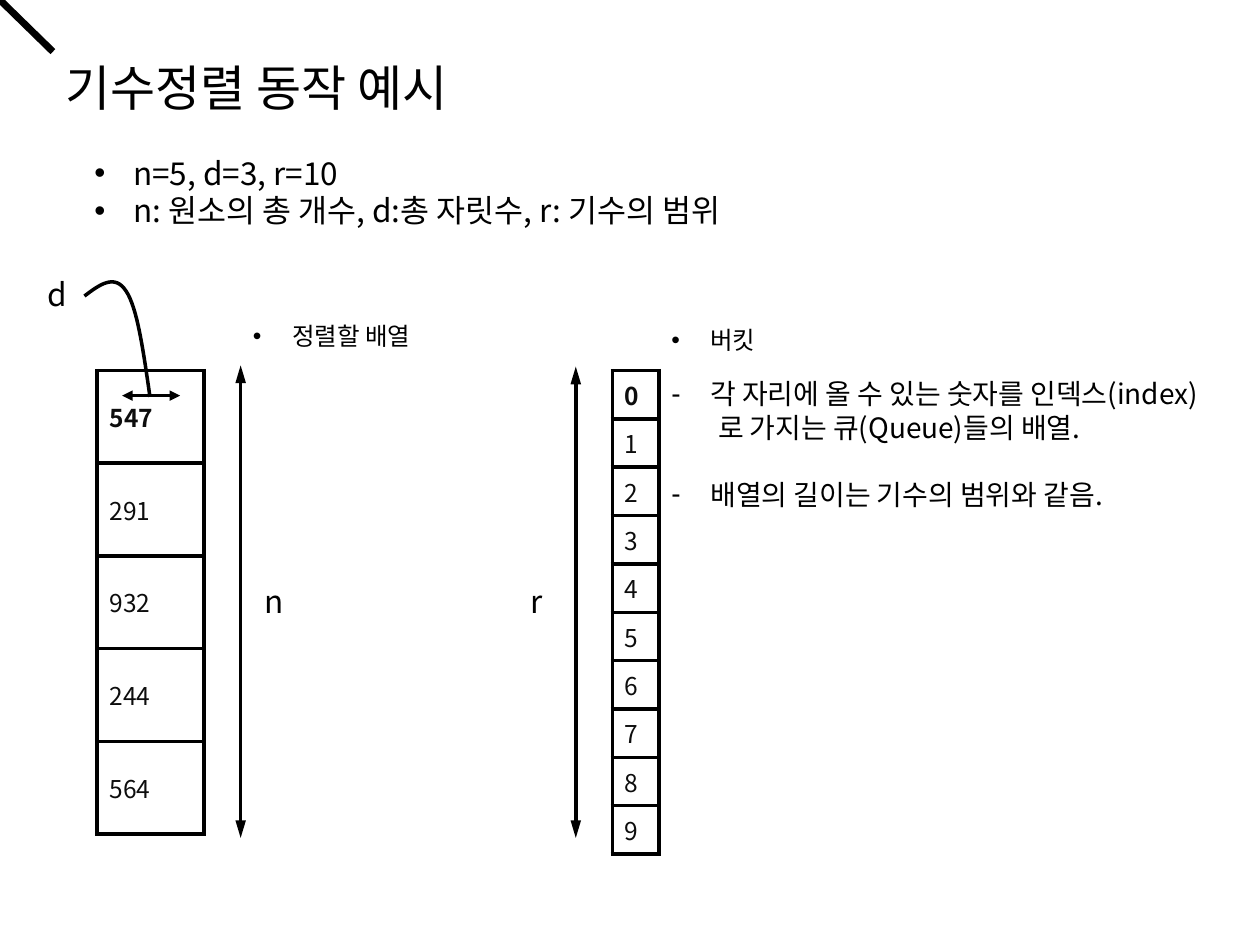
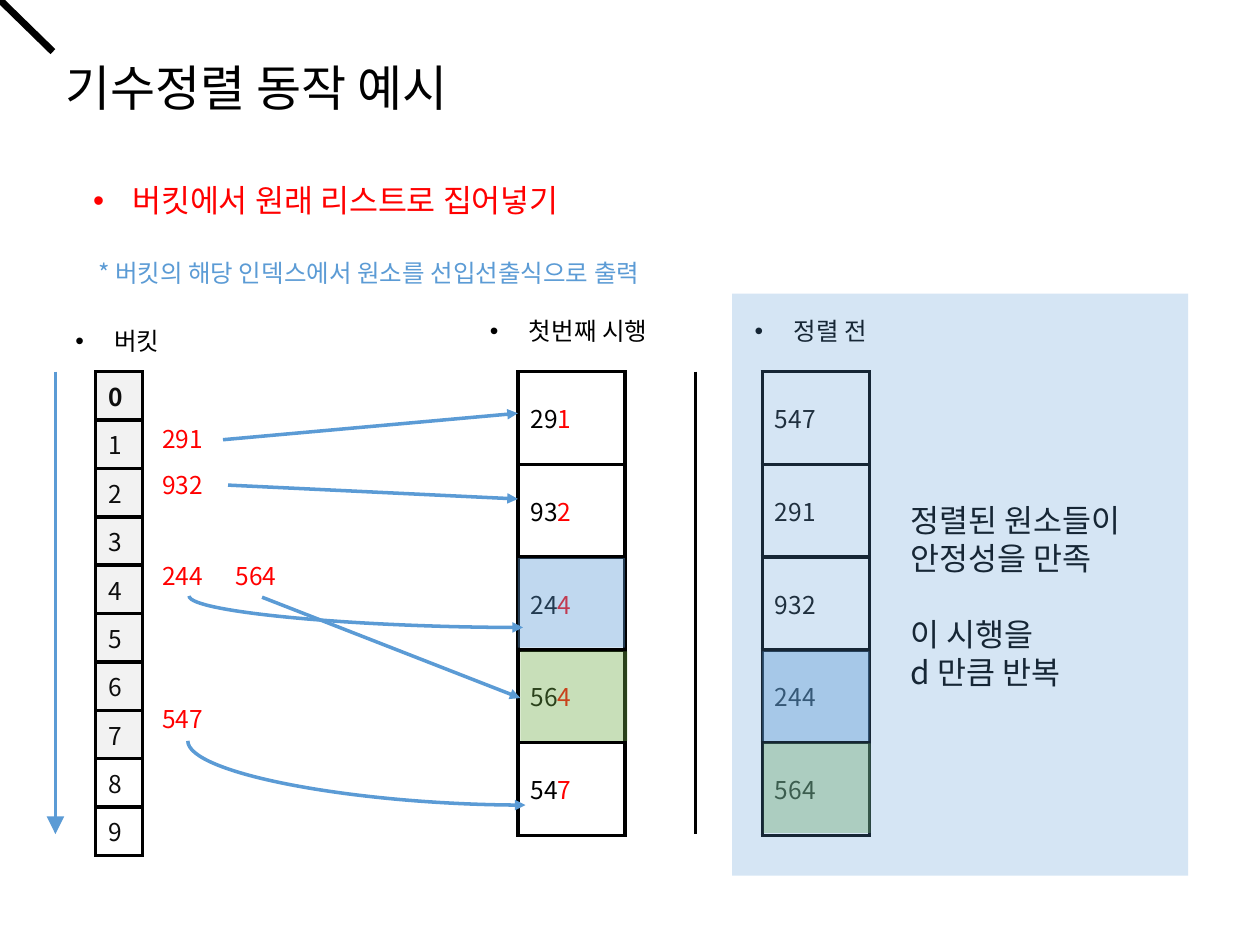
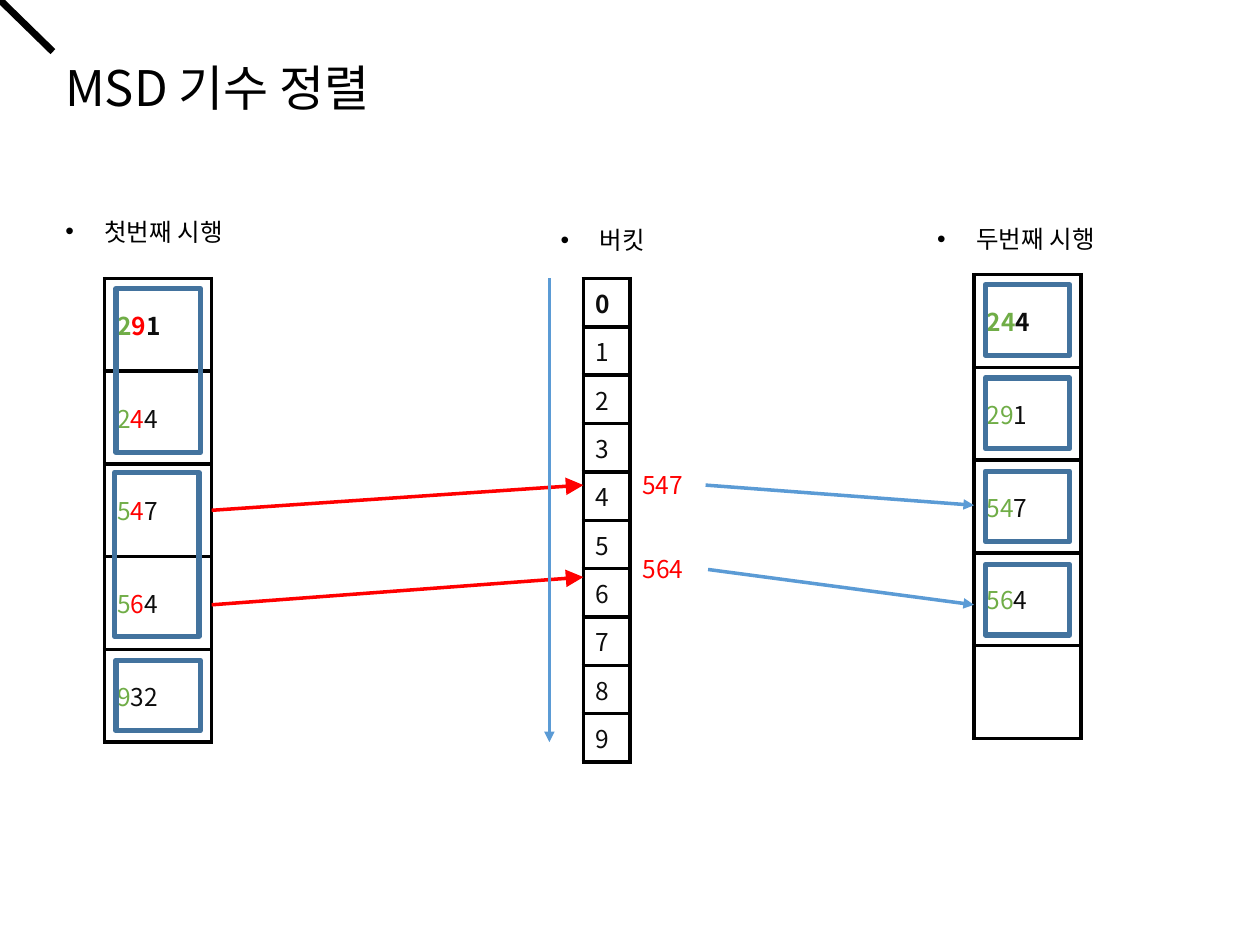
from lxml.etree import SubElement
from pptx import Presentation
from pptx.dml.color import RGBColor
from pptx.enum.shapes import MSO_CONNECTOR as Connector, MSO_SHAPE as Shape
from pptx.enum.text import MSO_ANCHOR as Anchor, MSO_AUTO_SIZE as AutoSize
from pptx.oxml.ns import qn
from pptx.util import Inches, Pt

# Shared style; the slide is a grid of 100 columns by 75 rows
GRID = Inches(0.1)
COLUMNS, ROWS = 100, 75
FONT = "Noto Sans CJK KR"
COLORS = {"black": "000000", "ink": "0D0D0D", "white": "FFFFFF", "visited": "F2F2F2",
          "red": "FF0000", "blue": "5B9BD5", "green": "70AD47", "group": "43739E"}
RGB = {name: RGBColor.from_string(value) for name, value in COLORS.items()}
INDENT = Inches(0.31)
LIST_HEIGHT = 36.8
LIST_WIDTH, BUCKET_WIDTH = 8.5, 3.7


def write(frame, text, size=14, colors=("black",), bold=False, bullet=None, indent=0, gap=0):
    """Add one paragraph; "|" in the text moves on to the next colour."""
    paragraph = frame.add_paragraph() if frame.text else frame.paragraphs[0]
    paragraph.space_before = Pt(gap)
    properties = paragraph._p.get_or_add_pPr()
    properties.set("marL", str(INDENT if bullet else int(indent * GRID)))
    if bullet:
        properties.set("indent", str(-INDENT))
        SubElement(properties, qn("a:buFont"), typeface="Arial")
        SubElement(properties, qn("a:buChar"), char=bullet)
    for part, color in zip(text.split("|"), colors):
        if part:
            run = paragraph.add_run()
            run.text = part
            run.font.size, run.font.bold, run.font.name = Pt(size), bold, FONT
            run.font.color.rgb = RGB[color]
            SubElement(run._r.get_or_add_rPr(), qn("a:ea"), typeface=FONT)


def draw_line(slide, start, end, color="black", width=2, heads=(), size=("med", "med"), curved=False):
    """Draw a line; a curved one leaves downwards and arrives from the left."""
    (x1, y1), (x2, y2) = start, end
    if curved:  # the box of a quarter-turned connector, before its turn
        center_x, center_y = (x1 + x2) / 2, (y1 + y2) / 2
        half_w, half_h = (y2 - y1) / 2, (x2 - x1) / 2
        x1, y1 = center_x + half_w, center_y - half_h
        x2, y2 = center_x - half_w, center_y + half_h
    line = slide.shapes.add_connector(Connector.CURVE if curved else Connector.STRAIGHT,
                                      *(int(v * GRID) for v in (x1, y1, x2, y2)))
    line.line.color.rgb, line.line.width = RGB[color], Pt(width)
    properties = line._element.spPr
    if curved:
        properties.find(qn("a:xfrm")).set("rot", str(270 * 60000))
        properties.find(qn("a:prstGeom")).set("prst", "curvedConnector2")
    for head in heads:
        SubElement(line.line._get_or_add_ln(), qn("a:" + head), type="triangle", w=size[0], len=size[1])
    SubElement(properties, qn("a:effectLst"))


deck = Presentation()
deck.slide_width, deck.slide_height = COLUMNS * GRID, ROWS * GRID
setup, collect, msd = [deck.slides.add_slide(deck.slide_layouts[6]) for _ in range(3)]

# Corner stroke
for slide in (setup, collect, msd):
    draw_line(slide, (0, 0), (4.2, 4.1), width=4)

# Lists and buckets: slide, left, top, width, values, digit colours, bold first row, shaded rows
digits = [str(digit) for digit in range(10)]
unsorted = ["547", "291", "932", "244", "564"]
columns = [
    (setup, 7.7, 29.4, LIST_WIDTH, unsorted, ["ink"], True, 0),
    (setup, 48.6, 29.4, BUCKET_WIDTH, digits, ["ink"], True, 0),
    (collect, 41.1, 29.5, LIST_WIDTH, ["29|1", "93|2", "24|4", "56|4", "54|7"], ["black", "red"], False, 0),
    (collect, 7.6, 29.5, BUCKET_WIDTH, digits, ["ink"], True, 8),
    (collect, 60.5, 29.5, LIST_WIDTH, unsorted, ["ink"], False, 0),
    (msd, 8.3, 22.1, LIST_WIDTH, ["2|9|1", "2|4|4", "5|4|7", "5|6|4", "9||32"],
     ["green", "red", "ink"], True, 0),
    (msd, 46.3, 22.1, BUCKET_WIDTH, digits, ["ink"], True, 0),
    (msd, 77.3, 21.8, LIST_WIDTH, ["24|4", "29|1", "54|7", "56|4", ""], ["green", "ink"], True, 0),
]
for slide, left, top, width, values, colors, bold_first, shaded in columns:
    box = [int(v * GRID) for v in (left, top, width, LIST_HEIGHT)]
    table = slide.shapes.add_table(len(values), 1, *box).table
    table.first_row = table.horz_banding = False
    for row, value in enumerate(values):
        cell = table.cell(row, 0)
        cell.vertical_anchor = Anchor.MIDDLE
        write(cell.text_frame, value, colors=colors, bold=bold_first and row == 0)
        borders = cell._tc.get_or_add_tcPr()
        for side in ("lnL", "lnR", "lnT", "lnB"):
            border = SubElement(borders, qn("a:" + side), w=str(Pt(2.25)))
            SubElement(SubElement(border, qn("a:solidFill")), qn("a:srgbClr"), val=COLORS["black"])
        cell.fill.solid()
        cell.fill.fore_color.rgb = RGB["visited" if row < shaded else "white"]

# Titles, headings and notes: slide, box, paragraphs, format
title, note, heading = {"size": 28}, {"size": 18}, {"bullet": "•"}
taken, remark = {"colors": ["red"]}, {"colors": ["blue"]}
labels = [
    (setup, (4.2, 4.1, 33.7, 5.7), ["기수정렬 동작 예시"], title),
    (setup, (6.5, 11.7, 88.1, 7.1),
     ["n=5, d=3, r=10", "n: 원소의 총 개수, d:총 자릿수, r: 기수의 범위"], note | heading),
    (setup, (2.8, 21.3, 3.7, 4), ["d"], note),
    (setup, (20, 45.7, 3.6, 4), ["n"], note),
    (setup, (41.1, 45.7, 3.1, 4), ["r"], note),
    (setup, (19.1, 25, 15, 3.4), ["정렬할 배열"], heading),
    (setup, (52.3, 25.3, 8.9, 3.4), ["버킷"], heading),
    (collect, (4.2, 4.1, 33.7, 5.7), ["기수정렬 동작 예시"], title),
    (collect, (6.4, 13.9, 39, 4), ["버킷에서 원래 리스트로 집어넣기"], note | heading | taken),
    (collect, (6.8, 20, 46.5, 3.4), ["* 버킷의 해당 인덱스에서 원소를 선입선출식으로 출력"], remark),
    (collect, (37.9, 24.6, 15.4, 3.4), ["첫번째 시행"], heading),
    (collect, (5, 25.4, 8.9, 3.4), ["버킷"], heading),
    (collect, (58.9, 24.6, 11.2, 3.4), ["정렬 전"], heading),
    (collect, (11.9, 33.2, 5.8, 3.4), ["291"], taken),
    (collect, (11.9, 36.8, 6.2, 3.4), ["932"], taken),
    (collect, (11.9, 44, 6.2, 3.4), ["244"], taken),
    (collect, (17.7, 44, 6.2, 3.4), ["564"], taken),
    (collect, (11.9, 55.4, 6, 3.4), ["547"], taken),
    (collect, (71.3, 39.3, 20.1, 7.1), ["정렬된 원소들이", "안정성을 만족"], note),
    (collect, (71.3, 48.3, 14.5, 7.1), ["이 시행을", "d 만큼 반복"], note),
    (msd, (4.2, 4.1, 28.4, 5.7), ["MSD 기수 정렬"], title),
    (msd, (4.2, 16.7, 15.4, 3.4), ["첫번째 시행"], heading),
    (msd, (43.5, 17.4, 8.9, 3.4), ["버킷"], heading),
    (msd, (73.4, 17.3, 15, 3.4), ["두번째 시행"], heading),
    (msd, (50, 36.8, 6, 3.4), ["547"], taken),
    (msd, (50, 43.5, 6.2, 3.4), ["564"], taken),
    (setup, (52.3, 29.4, 46.2, 11.8), [], {}),
]
frames = []
for slide, box, paragraphs, style in labels:
    frame = slide.shapes.add_textbox(*(int(v * GRID) for v in box)).text_frame
    frame.word_wrap, frame.auto_size = True, AutoSize.SHAPE_TO_FIT_TEXT
    for text in paragraphs:
        write(frame, text, **style)
    frames.append(frame)

# Description of the buckets, in the last box
bucket_note = frames[-1]
write(bucket_note, "각 자리에 올 수 있는 숫자를 인덱스(index)", size=16, bullet="-")
write(bucket_note, "로 가지는 큐(Queue)들의 배열.", size=16, indent=3.7)
write(bucket_note, "배열의 길이는 기수의 범위와 같음.", size=16, bullet="-", gap=19)

# Translucent marks on equal digits, and the panel: box, colour, opacity in percent
marks = [
    ((60.5, 51.7, 8.5, 7.1), "blue", 38),
    ((60.6, 59, 8.5, 7.1), "green", 38),
    ((41.1, 44.3, 8.5, 7.1), "blue", 38),
    ((41.3, 51.7, 8.5, 7.1), "green", 38),
    ((58.1, 23.3, 36.2, 46.2), "blue", 25),
]
for box, color, opacity in marks:
    mark = collect.shapes.add_shape(Shape.RECTANGLE, *(int(v * GRID) for v in box))
    mark.shadow.inherit = False
    mark.line.fill.background()
    mark.fill.solid()
    mark.fill.fore_color.rgb = RGB[color]
    tint = mark._element.spPr.find(qn("a:solidFill")).find(qn("a:srgbClr"))
    SubElement(tint, qn("a:alpha"), val=str(opacity * 1000))

# Outlines of the groups that share leading digits
groups = [(9.2, 22.9, 6.7, 13), (9.1, 37.5, 6.7, 13), (9.2, 52.4, 6.7, 5.6)]
groups += [(78.2, 22.6 + 7.4 * row, 6.7, 5.6) for row in range(4)]
for box in groups:
    group = msd.shapes.add_shape(Shape.RECTANGLE, *(int(v * GRID) for v in box))
    group.shadow.inherit = False
    group.fill.background()
    group.line.color.rgb, group.line.width = RGB["group"], Pt(3)

# Dimension arrows for n, r and d
both = ("headEnd", "tailEnd")
draw_line(setup, (19.1, 29), (19.1, 66.5), heads=both, size=("med", "lg"))
draw_line(setup, (45.7, 29.1), (45.7, 66.5), heads=both, size=("med", "lg"))
draw_line(setup, (9.7, 31.4), (14.3, 31.4), heads=both)

# Curved pointer from d to its arrow, sampled from two Bezier pieces
pieces = [((6.7, 23.5), (7.9, 22.6), (9.1, 21.7), (10, 23.1)),
          ((10, 23.1), (10.9, 24.4), (11.4, 28), (11.9, 31.5))]
STEPS = 16
points = []
for piece in pieces:
    for step in range(STEPS + 1):
        t = step / STEPS
        weights = ((1 - t) ** 3, 3 * t * (1 - t) ** 2, 3 * t ** 2 * (1 - t), t ** 3)
        points.append([int(GRID * sum(w * point[axis] for w, point in zip(weights, piece)))
                       for axis in (0, 1)])
pointer_path = setup.shapes.build_freeform(*points[0])
pointer_path.add_line_segments(points[1:], close=False)
pointer = pointer_path.convert_to_shape()
pointer.shadow.inherit = False
pointer.fill.background()
pointer.line.color.rgb, pointer.line.width = RGB["black"], Pt(2)

# Moves between buckets and lists: slide, start, end, colour, curved
moves = [
    (collect, (17.7, 34.9), (41.1, 32.8), "blue", False),
    (collect, (18.1, 38.5), (41.1, 39.6), "blue", False),
    (collect, (20.8, 47.4), (41.3, 55.4), "blue", False),
    (collect, (15, 47.3), (41.5, 49.8), "blue", True),
    (collect, (14.9, 58.8), (41.7, 63.9), "blue", True),
    (msd, (16.8, 48), (46.3, 45.8), "red", False),
    (msd, (16.8, 40.5), (46.3, 38.5), "red", False),
    (msd, (56, 38.5), (77.3, 40.1), "blue", False),
    (msd, (56.2, 45.2), (77.3, 48), "blue", False),
    (msd, (43.6, 22.1), (43.6, 58.9), "blue", False),
]
for slide, start, end, color, curved in moves:
    size = ("lg", "lg") if color == "red" else ("med", "med")
    draw_line(slide, start, end, color, heads=["tailEnd"], size=size, curved=curved)

# Reading direction of the buckets, and the divider before the panel
draw_line(collect, (4.4, 29.5), (4.4, 66.2), "blue", heads=["tailEnd"], size=("lg", "lg"))
draw_line(collect, (55.2, 29.5), (55.2, 66.2), width=2.25)

deck.save("out.pptx")
